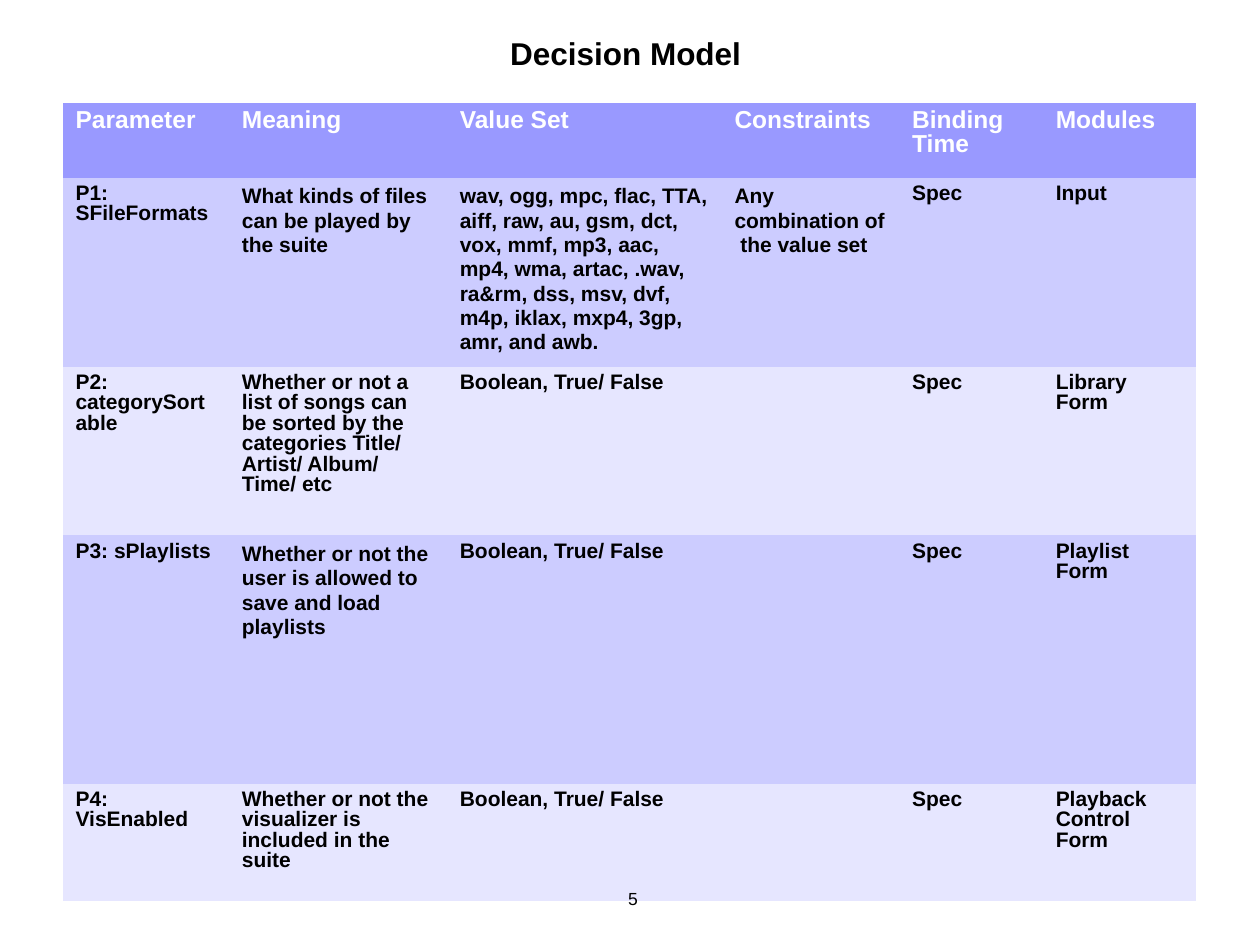
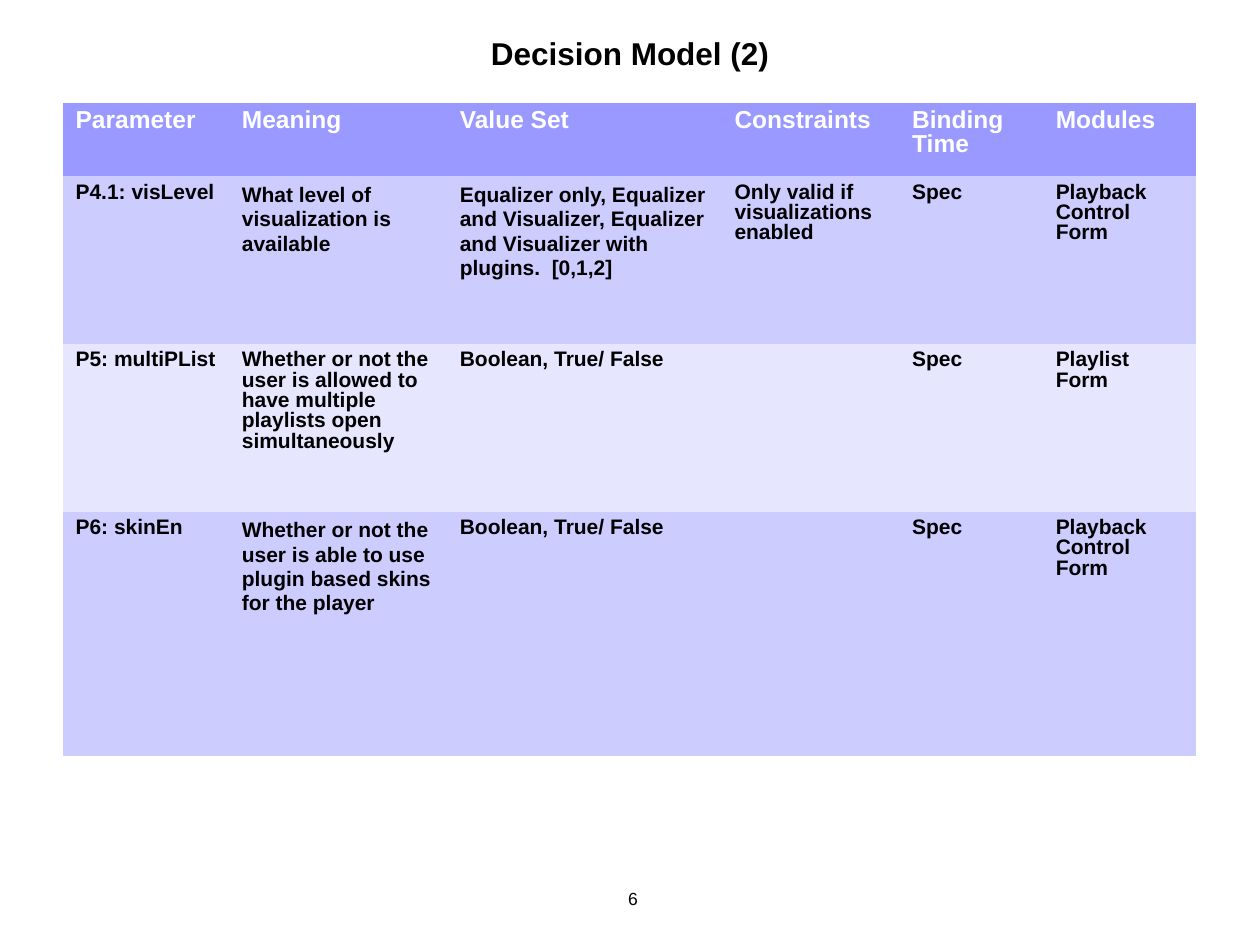
import pptx
import pptx.dml.color
import pptx.enum.text
import pptx.oxml.ns
import pptx.util

Inches = pptx.util.Inches
Pt = pptx.util.Pt
RGBColor = pptx.dml.color.RGBColor
Align = pptx.enum.text.PP_ALIGN
Anchor = pptx.enum.text.MSO_ANCHOR

BLACK = RGBColor(0x00, 0x00, 0x00)
WHITE = RGBColor(0xFF, 0xFF, 0xFF)
HEADER_FILL = RGBColor(0x99, 0x99, 0xFF)
BAND_FILLS = (RGBColor(0xCC, 0xCC, 0xFF), RGBColor(0xE6, 0xE6, 0xFF))

FONT = "Arial"
TIGHT = 0.87
LOOSE = Pt(13.9)
TITLE_ONLY_LAYOUT = 5
PLAIN_TABLE_STYLE = "{2D5ABB26-0587-4C30-8999-92F81FD0307C}"

COLUMN_WIDTHS = (1.32, 1.73, 2.18, 1.41, 1.14, 1.21)
HEADERS = ("Parameter", "Meaning", "Value Set", "Constraints", "Binding Time", "Modules")
MEANING, VALUE_SET, CONSTRAINTS = 1, 2, 3
BOOLEAN = "Boolean, True/ False"
PLAYBACK = "Playback Control Form"

FIRST_ROWS = (
    (1.5, (MEANING, VALUE_SET, CONSTRAINTS), (
        "P1: SFileFormats",
        "What kinds of files can be played by the suite",
        "wav, ogg, mpc, flac, TTA, aiff, raw, au, gsm, dct, vox, mmf, mp3, aac, mp4, "
        "wma, artac, .wav, ra&rm, dss, msv, dvf, m4p, iklax, mxp4, 3gp, amr, and awb.",
        "Any combination of  the value set", "Spec", "Input")),
    (1.34, (), (
        "P2: categorySortable",
        "Whether or not a list of songs can be sorted by the categories "
        "Title/ Artist/ Album/ Time/ etc",
        BOOLEAN, "", "Spec", "Library Form")),
    (1.97, (MEANING,), (
        "P3: sPlaylists",
        "Whether or not the user is allowed to save and load playlists",
        BOOLEAN, "", "Spec", "Playlist Form")),
    (0.93, (), (
        "P4: VisEnabled",
        "Whether or not the visualizer is included in the suite",
        BOOLEAN, "", "Spec", PLAYBACK)),
)
SECOND_ROWS = (
    (1.33, (MEANING, VALUE_SET), (
        "P4.1: visLevel",
        "What level of visualization is available",
        "Equalizer only, Equalizer and Visualizer, Equalizer and Visualizer with "
        "plugins.  [0,1,2]",
        "Only valid if visualizations enabled", "Spec", PLAYBACK)),
    (1.33, (), (
        "P5: multiPList",
        "Whether or not the user is allowed to have multiple playlists open simultaneously",
        BOOLEAN, "", "Spec", "Playlist Form")),
    (1.94, (MEANING,), (
        "P6: skinEn",
        "Whether or not the user is able to use plugin based skins for the player",
        BOOLEAN, "", "Spec", PLAYBACK)),
)


class DecisionDeck:
    def __init__(self):
        self.presentation = pptx.Presentation()
        self.presentation.slide_width = Inches(10)
        self.presentation.slide_height = Inches(7.5)
        self.slide = None

    def add_slide(self):
        layout = self.presentation.slide_layouts[TITLE_ONLY_LAYOUT]
        self.slide = self.presentation.slides.add_slide(layout)

    def add_text(self, frame, text, size, color=BLACK, bold=True, align=Align.LEFT, spacing=1.0):
        frame.word_wrap = True
        paragraph = frame.paragraphs[0]
        paragraph.alignment = align
        paragraph.line_spacing = spacing
        run = paragraph.add_run()
        run.text = text
        run.font.name = FONT
        run.font.size = Pt(size)
        run.font.bold = bold
        run.font.color.rgb = color

    def title(self, text):
        shape = self.slide.shapes.title
        shape.left, shape.top = Inches(0.75), Inches(0.22)
        shape.width, shape.height = Inches(8.5), Inches(0.4)
        frame = shape.text_frame
        frame.auto_size = pptx.enum.text.MSO_AUTO_SIZE.NONE
        frame.vertical_anchor = Anchor.MIDDLE
        self.add_text(frame, text, 18, align=Align.CENTER)

    def cell(self, cell, text, fill, size=12, color=BLACK, spacing=TIGHT):
        cell.fill.solid()
        cell.fill.fore_color.rgb = fill
        if text:
            self.add_text(cell.text_frame, text, size, color, spacing=spacing)

    def table(self, header_height, body_rows):
        heights = [header_height] + [height for height, _, _ in body_rows]
        frame = self.slide.shapes.add_table(
            len(heights), len(HEADERS), Inches(0.5), Inches(0.82),
            Inches(9), Inches(sum(heights)))
        table = frame.table
        table.first_row = table.horz_banding = False
        table._tbl.tblPr.find(pptx.oxml.ns.qn("a:tableStyleId")).text = PLAIN_TABLE_STYLE
        for column, width in zip(table.columns, COLUMN_WIDTHS):
            column.width = Inches(width)
        for row, height in zip(table.rows, heights):
            row.height = Inches(height)
        for column, text in enumerate(HEADERS):
            self.cell(table.cell(0, column), text, HEADER_FILL, 14, WHITE)
        for index, (_, loose_columns, texts) in enumerate(body_rows):
            for column, text in enumerate(texts):
                spacing = LOOSE if column in loose_columns else TIGHT
                self.cell(table.cell(index + 1, column), text,
                          BAND_FILLS[index % 2], spacing=spacing)

    def page_number(self, number):
        shape = self.slide.shapes.add_textbox(
            Inches(4.58), Inches(7), Inches(0.58), Inches(0.5))
        self.add_text(shape.text_frame, str(number), 10, bold=False, align=Align.RIGHT)


def main():
    deck = DecisionDeck()
    slides = (
        ("Decision Model ", 0.59, FIRST_ROWS),
        ("Decision Model (2)", 0.58, SECOND_ROWS),
    )
    for number, (title, header_height, body_rows) in enumerate(slides, start=5):
        deck.add_slide()
        deck.title(title)
        deck.table(header_height, body_rows)
        deck.page_number(number)
    deck.presentation.save("out.pptx")


if __name__ == "__main__":
    main()
